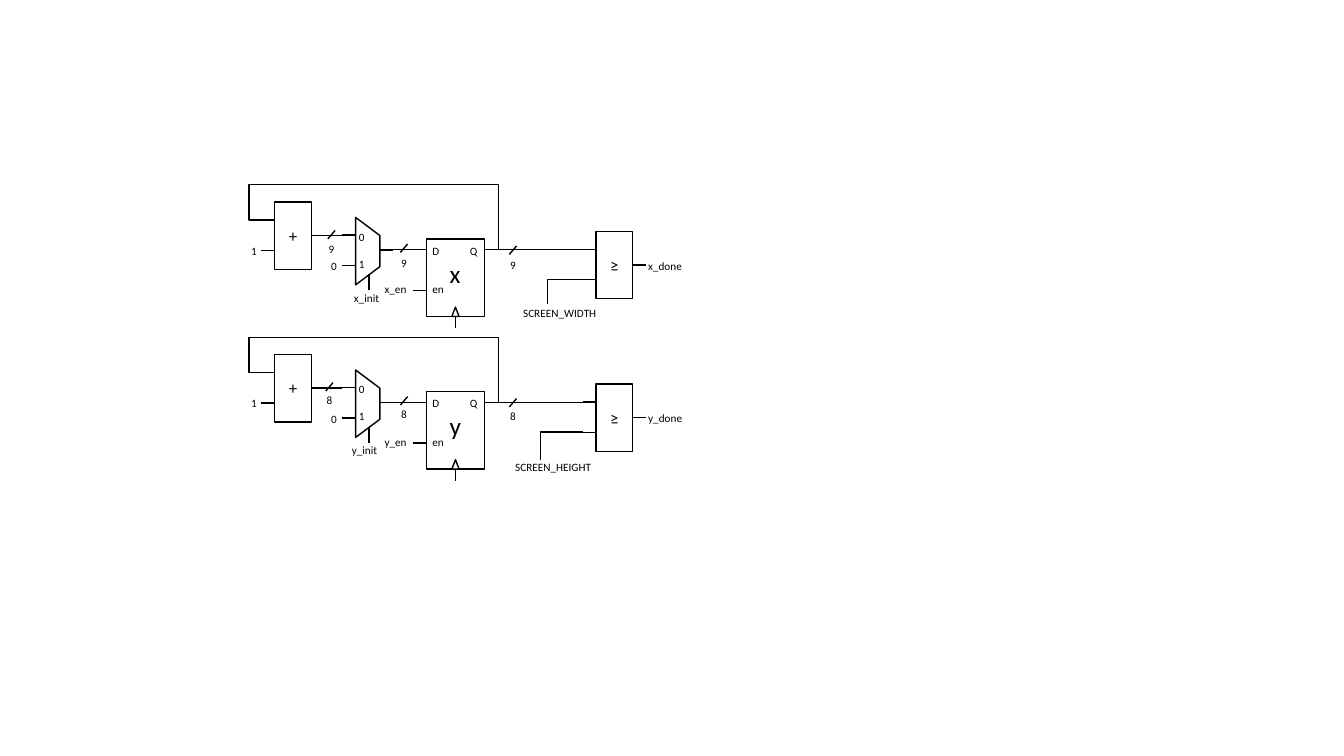
from dataclasses import dataclass
from pptx import Presentation
from pptx.dml.color import RGBColor as Color
from pptx.enum.shapes import MSO_CONNECTOR as Link, MSO_SHAPE as Form
from pptx.enum.text import MSO_ANCHOR as Anchor, MSO_AUTO_SIZE as Fit, PP_ALIGN as Align
from pptx.oxml.ns import qn
from pptx.util import Pt
from lxml.etree import SubElement as Child


@dataclass(frozen=True)
class Theme:
    ink: Color = Color(0, 0, 0)
    paper: Color = Color(255, 255, 255)
    font: str = "Calibri"
    small: int = 8
    sign: int = 12
    large: int = 18
    line: float = 1


@dataclass(frozen=True)
class Row:
    name: str
    bits: str
    limit: str
    limit_at: tuple
    foot: tuple
    init: float
    marks: tuple
    drop: float


theme = Theme()
STUB = 9.4
TALL = 17.3
ROWS = (
    Row("x", "9", "SCREEN_WIDTH", (188.6, 83.5), (213, 85), 67.7,
        ((185.8, 43.7), (108, 42.3), (56.2, 32.6)), 5.3),
    Row("y", "8", "SCREEN_HEIGHT", (182.9, 84.6), (208, 87.5), 66.2,
        ((185.8, 43.7), (108, 42.3), (54.7, 32.3)), 4.2),
)


def write(par, text, size):
    run = par.add_run()
    run.text = text
    run.font.name = theme.font
    run.font.size = Pt(size)
    run.font.color.rgb = theme.ink


def label(kit, x, y, wide, text, size=theme.small, high=TALL):
    frame = kit.add_textbox(Pt(x), Pt(y), Pt(wide), Pt(high)).text_frame
    frame.word_wrap = True
    frame.auto_size = Fit.SHAPE_TO_FIT_TEXT
    write(frame.paragraphs[0], text, size)
    return frame


def style(shape):
    shape.shadow.inherit = False
    shape.fill.solid()
    shape.fill.fore_color.rgb = theme.paper
    shape.line.color.rgb = theme.ink
    shape.line.width = Pt(theme.line)


def block(kit, form, x, y, wide, high):
    shape = kit.add_shape(form, Pt(x), Pt(y), Pt(wide), Pt(high))
    style(shape)
    return shape


def wire(kit, x1, y1, x2, y2, kind=Link.STRAIGHT):
    link = kit.add_connector(kind, Pt(x1), Pt(y1), Pt(x2), Pt(y2))
    link.line.color.rgb = theme.ink
    link.line.width = Pt(theme.line)
    Child(link._element.spPr, qn("a:effectLst"))
    return link


def group(kit):
    return kit.add_group_shape().shapes


def maths(kit, x, y, sign):
    kit = group(kit)
    wide = 26.1
    shape = block(kit, Form.RECTANGLE, x, y, wide, 48.2)
    shape.text_frame.vertical_anchor = Anchor.MIDDLE
    par = shape.text_frame.paragraphs[0]
    par.alignment = Align.CENTER
    write(par, sign, theme.sign)
    for port in (13, 34.6):
        wire(kit, x, y + port, x - STUB, y + port)
    wire(kit, x + wide + STUB, y + 24, x + wide, y + 24)


def mux(kit, x, y):
    kit = group(kit)
    wide, high = TALL, 48.2
    shape = block(kit, Form.TRAPEZOID, x + (wide - high) / 2, y + (high - wide) / 2, high, wide)
    shape.rotation = 90
    shape.adjustments[0] = 0.75
    frame = label(kit, x - 4.7, y + 5.4, 18, "0", high=36)
    par = frame.add_paragraph()
    par.space_before = Pt(9.7)
    write(par, "1", theme.small)
    for port in (12.7, 34.3):
        wire(kit, x, y + port, x - STUB, y + port)
    wire(kit, x + wide + STUB, y + 23.3, x + wide, y + 23.3)
    wire(kit, x + 9.7, y + 52, x + 9.7, y + 40.7)


def register(kit, x, y, name):
    part = group(kit)
    wide, high = 41.3, 55.4
    mid = x + wide / 2
    block(part, Form.RECTANGLE, x, y, wide, high)
    block(part, Form.ISOSCELES_TRIANGLE, mid - 2.6, y + high - 6.7, 5.2, 6.7)
    for left, down, room, text in ((-2.9, 0, 18, "D"), (23.8, 0, 18, "Q"), (-2.9, 27.7, 26.6, "en")):
        label(part, x + left, y + down, room, text)
    for port in (7.6, 36.7):
        wire(part, x, y + port, x - STUB, y + port)
    wire(part, x + wide + STUB, y + 7.6, x + wide, y + 7.6)
    wire(part, mid, y + high, mid, y + high + 8.2)
    label(kit, x + 9.4, y + 10.1, 23.8, name, theme.large, 28.8)


def mark(kit, x, y, bits, drop):
    kit = group(kit)
    wire(kit, x + 5.2, y, x, y + 6)
    label(kit, x - 6.5, y + drop, 18, bits)


def loop(kit, x, y):
    spots = [(178, 46.5), (178, 0), (0, 0), (0, 25.2), (8.8, 25.2)]
    spots = [(Pt(x + a), Pt(y + b)) for a, b in spots]
    build = kit.build_freeform(*spots[0])
    build.add_line_segments(spots[1:], close=False)
    shape = build.convert_to_shape()
    style(shape)
    shape.fill.background()


def bend(kit, x, y, foot):
    link = wire(kit, x + foot[0], y + foot[1], x + 238.3, y + 67.7, Link.ELBOW)
    shape = link._element.spPr.find(qn("a:prstGeom"))
    guides = shape.find(qn("a:avLst"))
    if guides is None:
        guides = Child(shape, qn("a:avLst"))
    Child(guides, qn("a:gd"), name="adj1", fmla="val 0")


def counter(kit, x, y, row):
    register(kit, x + 126.7, y + 38.7, row.name)
    mux(kit, x + 76, y + 23.3)
    maths(kit, x + 18.2, y + 12.2, "+")
    maths(kit, x + 247.7, y + 33.2, "≥")
    loop(kit, x, y)
    for start, end, down in ((53.6, 66.2, 36.1), (102.2, 117.4, 46.4), (177.8, 238.3, 46.3)):
        wire(kit, x + start, y + down, x + end, y + down)
    bend(kit, x, y, row.foot)
    for left, down, room, text in (
        (51.4, 49.9, 18, "0"),
        (-5.8, 38.7, 18, "1"),
        (*row.limit_at, 81.4, row.limit),
        (277.9, 49.5, 81.4, row.name + "_done"),
        (89.6, 66.4, 81.4, row.name + "_en"),
        (row.init, 72.2, 81.4, row.name + "_init"),
    ):
        label(kit, x + left, y + down, room, text)
    for left, down in row.marks:
        mark(kit, x + left, y + down, row.bits, row.drop)


deck = Presentation()
deck.slide_width, deck.slide_height = Pt(960), Pt(540)
slide = deck.slides.add_slide(deck.slide_layouts[6])
for index, row in enumerate(ROWS):
    counter(slide.shapes, 178, 132 + index * 109, row)
deck.save("out.pptx")
